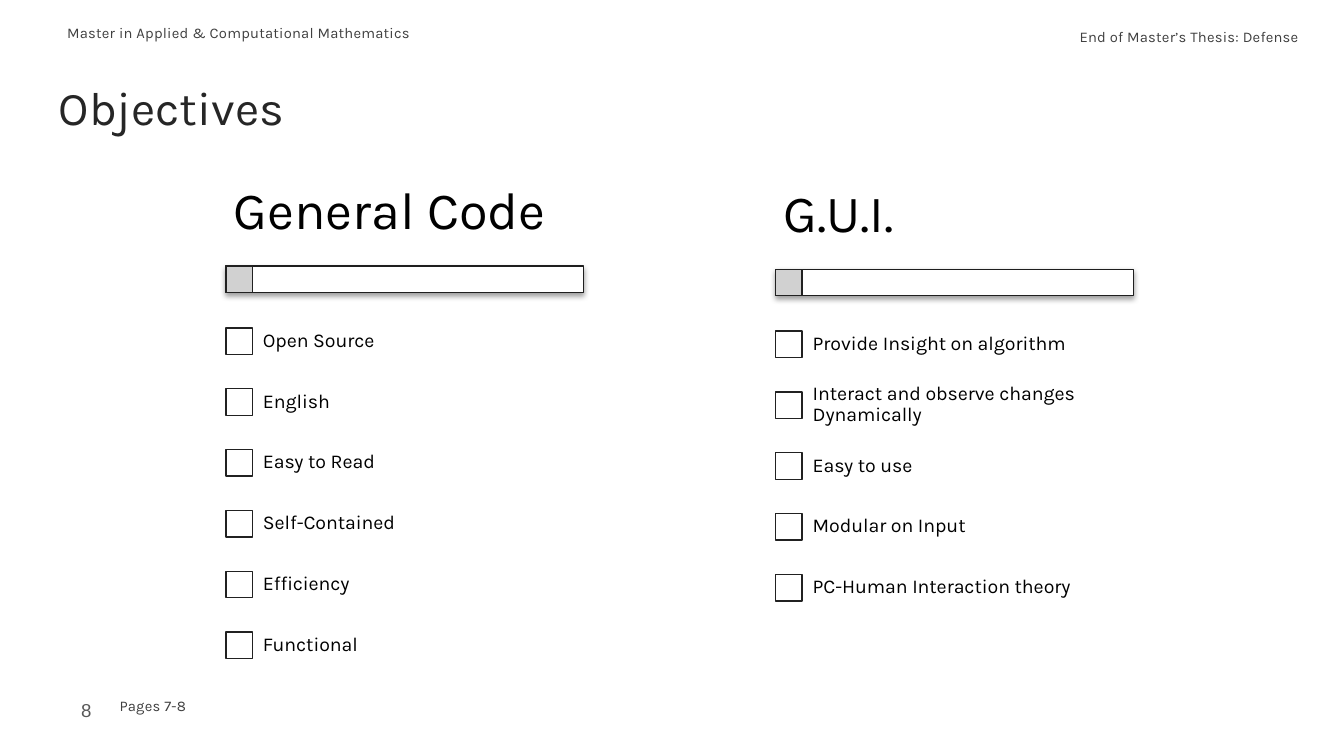
from dataclasses import dataclass
from lxml.etree import SubElement
from pptx import Presentation
from pptx.dml.color import RGBColor
from pptx.enum.shapes import MSO_SHAPE
from pptx.enum.text import MSO_ANCHOR, PP_ALIGN
from pptx.oxml.ns import qn
from pptx.util import Cm, Pt


@dataclass(frozen=True)
class Theme:
    font: str = "Karla"
    plain: str = "Arial"
    ink: str = "000000"
    title: str = "262626"
    note: str = "404040"
    page: str = "595959"
    paper: str = "FFFFFF"
    tab: str = "CDCDCD"
    edge: str = "212121"
    rim: str = "1E1E1E"
    big: float = 28
    head: float = 25.2
    body: float = 10.5
    num: float = 10
    small: float = 7.9
    line: float = 0.75


class Deck:
    def __init__(self, theme, wide, high):
        self.theme = theme
        self.prs = Presentation()
        self.prs.slide_width, self.prs.slide_height = Cm(wide), Cm(high)
        self.slide = self.prs.slides.add_slide(self.prs.slide_layouts[6])

    def text(self, words, x, y, w, h, size, color, font=None, pad=(0.25, 0.25),
             align=PP_ALIGN.LEFT, anchor=MSO_ANCHOR.TOP, lead=1.0, track=0):
        box = self.slide.shapes.add_textbox(Cm(x), Cm(y), Cm(w), Cm(h))
        frame = box.text_frame
        frame.word_wrap = True
        frame.vertical_anchor = anchor
        frame.margin_left = frame.margin_right = Cm(pad[0])
        frame.margin_top = frame.margin_bottom = Cm(pad[1])
        para = frame.paragraphs[0]
        para.alignment = align
        para.line_spacing = lead
        run = para.add_run()
        run.text = words
        run.font.size = Pt(size)
        run.font.name = font or self.theme.font
        run.font.color.rgb = RGBColor.from_string(color)
        if track:
            run._r.get_or_add_rPr().set("spc", str(track))

    def note(self, words, x, y, w, h, **opts):
        self.text(words, x, y, w, h, self.theme.small, self.theme.note, track=10, **opts)

    def rect(self, x, y, w, h, fill, line):
        box = self.slide.shapes.add_shape(MSO_SHAPE.RECTANGLE, Cm(x), Cm(y), Cm(w), Cm(h))
        box.shadow.inherit = False
        box.fill.solid()
        box.fill.fore_color.rgb = RGBColor.from_string(fill)
        box.line.color.rgb = RGBColor.from_string(line)
        box.line.width = Pt(self.theme.line)
        return box

    def shade(self, box):
        effect = box._element.spPr.find(qn("a:effectLst"))
        drop = SubElement(effect, qn("a:outerShdw"), blurRad=str(Pt(3.1)),
                          dist=str(Pt(1.6)), dir="5400000", rotWithShape="0")
        color = SubElement(drop, qn("a:srgbClr"), val=self.theme.ink)
        SubElement(color, qn("a:alpha"), val="38000")

    def bar(self, x, y, w, side):
        self.shade(self.rect(x, y, w, side, self.theme.paper, self.theme.rim))
        tab = self.rect(x, y, side, side, self.theme.tab, self.theme.edge)
        color = tab._element.spPr.find(qn("a:solidFill"))[0]
        SubElement(color, qn("a:alpha"), val="90000")

    def list(self, head, items, x, y, w=6.76, side=0.5, step=1.15):
        look = self.theme
        self.bar(x, y + 1.73, w, side)
        self.text(head, x, y, w, 1.42, look.big, look.ink, pad=(0.15, 0.1),
                  anchor=MSO_ANCHOR.MIDDLE, lead=0.9)
        for row, item in enumerate(items):
            top = y + 2.57 + row * step
            self.rect(x, top + 0.33, side, side, look.paper, look.edge)
            self.text(item, x + 0.47, top, w - 0.48, step, look.body, look.ink,
                      pad=(0.23, 0.23), anchor=MSO_ANCHOR.MIDDLE, lead=0.9)

    def save(self):
        self.prs.save("out.pptx")


def main():
    look = Theme()
    deck = Deck(look, 25.4, 14.29)
    deck.note("Master in Applied & Computational Mathematics", 1.02, 0.28, 9.3, 0.84)
    deck.note("End of Master’s Thesis: Defense", 19.71, 0.53, 4.83, 0.36,
              pad=(0, 0), align=PP_ALIGN.RIGHT)
    deck.text("8", 0.46, 12.88, 1.52, 1.09, look.num, look.page, font=look.plain,
              align=PP_ALIGN.RIGHT, anchor=MSO_ANCHOR.MIDDLE)
    deck.text("Objectives", 0.86, 1.24, 23.67, 1.6, look.head, look.title)
    deck.list("General Code", ["Open Source", "English", "Easy to Read",
                               "Self-Contained", "Efficiency", "Functional"], 4.27, 3.3)
    deck.list("G.U.I.", ["Provide Insight on algorithm",
                         "Interact and observe changes Dynamically", "Easy to use",
                         "Modular on Input", "PC-Human Interaction theory"], 14.66, 3.36)
    deck.note("Pages 7-8", 2.01, 13, 1.9, 0.84)
    deck.save()


if __name__ == "__main__":
    main()
